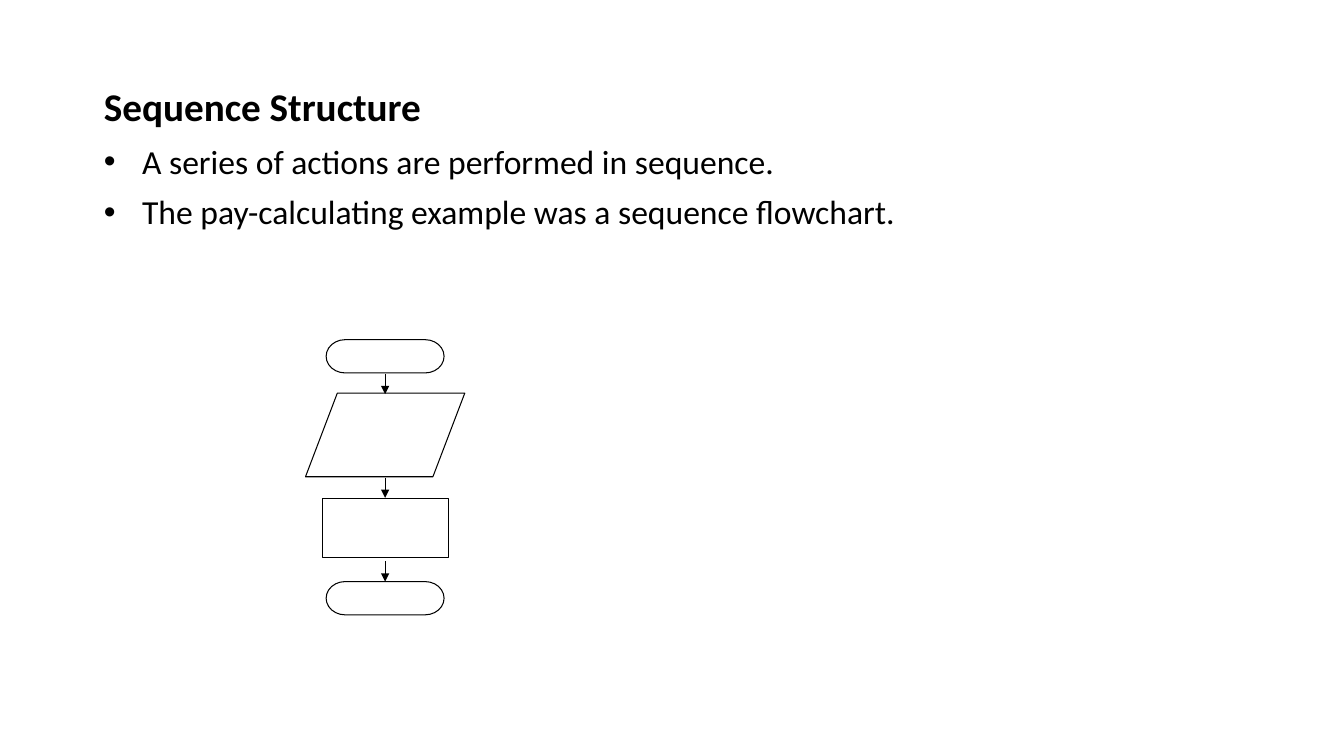
from lxml import etree
from pptx import Presentation
from pptx.dml.color import RGBColor
from pptx.enum.shapes import MSO_CONNECTOR, MSO_SHAPE
from pptx.enum.text import MSO_ANCHOR, MSO_AUTO_SIZE, PP_ALIGN
from pptx.oxml.ns import qn
from pptx.util import Inches, Pt

TERMINATOR = MSO_SHAPE.FLOWCHART_TERMINATOR
INPUT_OUTPUT = MSO_SHAPE.FLOWCHART_DATA
PROCESS = MSO_SHAPE.RECTANGLE
STRAIGHT = MSO_CONNECTOR.STRAIGHT
TOP = MSO_ANCHOR.TOP
NO_AUTOFIT = MSO_AUTO_SIZE.NONE
LEFT = PP_ALIGN.LEFT

COLORS = {"text": "000000", "line": "000000", "background": "FFFFFF"}
FONT = "Calibri"

TEXT_LEFT, TEXT_WIDTH = 1.03, 10.64
FLOW_CENTER = 3.82
ARROW_LENGTH = 0.2
BULLETS = [
    "A series of actions are performed in sequence.",
    "The pay-calculating example was a sequence flowchart.",
]
# Flowchart steps: preset, top, width, height
STEPS = [
    (TERMINATOR, 3.37, 1.17, 0.33),
    (INPUT_OUTPUT, 3.9, 1.58, 0.83),
    (PROCESS, 4.95, 1.25, 0.58),
    (TERMINATOR, 5.77, 1.17, 0.33),
]
ARROW_TOPS = [3.71, 4.74, 5.57]


def rgb(name):
    return RGBColor.from_string(COLORS[name])


def add_bullet(p, indent):
    pPr = p._p.get_or_add_pPr()
    pPr.set("marL", str(Inches(indent)))
    pPr.set("indent", str(-Inches(indent)))
    color = etree.SubElement(pPr, qn("a:buClr"))
    etree.SubElement(color, qn("a:srgbClr"), val=COLORS["text"])
    etree.SubElement(pPr, qn("a:buFont"), typeface="Arial")
    etree.SubElement(pPr, qn("a:buChar"), char="•")


def write_text(sp, lines, size=24, bold=False, bullet_indent=None):
    tf = sp.text_frame
    tf.word_wrap = True
    tf.auto_size = NO_AUTOFIT
    tf.vertical_anchor = TOP
    tf.margin_left = tf.margin_right = tf.margin_top = tf.margin_bottom = 0
    for i, line in enumerate(lines):
        p = tf.add_paragraph() if i else tf.paragraphs[0]
        p.alignment = LEFT
        p.line_spacing = 0.9
        p.space_before = Pt(10)
        if bullet_indent:
            add_bullet(p, bullet_indent)
        r = p.add_run()
        r.text = line
        r.font.name = FONT
        r.font.size = Pt(size)
        r.font.bold = bold
        r.font.color.rgb = rgb("text")


def add_title(slide, text):
    sp = slide.shapes.title
    sp.left, sp.top = Inches(TEXT_LEFT), Inches(0.87)
    sp.width, sp.height = Inches(TEXT_WIDTH), Inches(0.43)
    write_text(sp, [text], size=28, bold=True)


def add_bullets(slide, lines):
    sp = slide.shapes.add_textbox(
        Inches(TEXT_LEFT), Inches(1.44), Inches(TEXT_WIDTH), Inches(1.2))
    write_text(sp, lines, bullet_indent=0.38)


def set_outline(sp):
    sp.line.color.rgb = rgb("line")
    sp.line.width = Pt(0.75)


def add_step(group, preset, top, width, height):
    sp = group.shapes.add_shape(
        preset, Inches(FLOW_CENTER - width / 2), Inches(top),
        Inches(width), Inches(height))
    sp.shadow.inherit = False
    sp.fill.background()
    set_outline(sp)


def add_arrow(group, top):
    x = Inches(FLOW_CENTER)
    line = group.shapes.add_connector(
        STRAIGHT, x, Inches(top), x, Inches(top + ARROW_LENGTH))
    set_outline(line)
    etree.SubElement(line.line._get_or_add_ln(), qn("a:tailEnd"), type="triangle")
    etree.SubElement(line._element.spPr, qn("a:effectLst"))


def add_flowchart(slide):
    group = slide.shapes.add_group_shape()
    for step in STEPS:
        add_step(group, *step)
    for top in ARROW_TOPS:
        add_arrow(group, top)


def main():
    prs = Presentation()
    prs.slide_width, prs.slide_height = Inches(13.33), Inches(7.5)
    slide = prs.slides.add_slide(prs.slide_layouts[5])
    slide.background.fill.solid()
    slide.background.fill.fore_color.rgb = rgb("background")

    # Heading and bullets
    add_title(slide, "Sequence Structure")
    add_bullets(slide, BULLETS)

    # Flowchart
    add_flowchart(slide)

    prs.save("out.pptx")


main()
